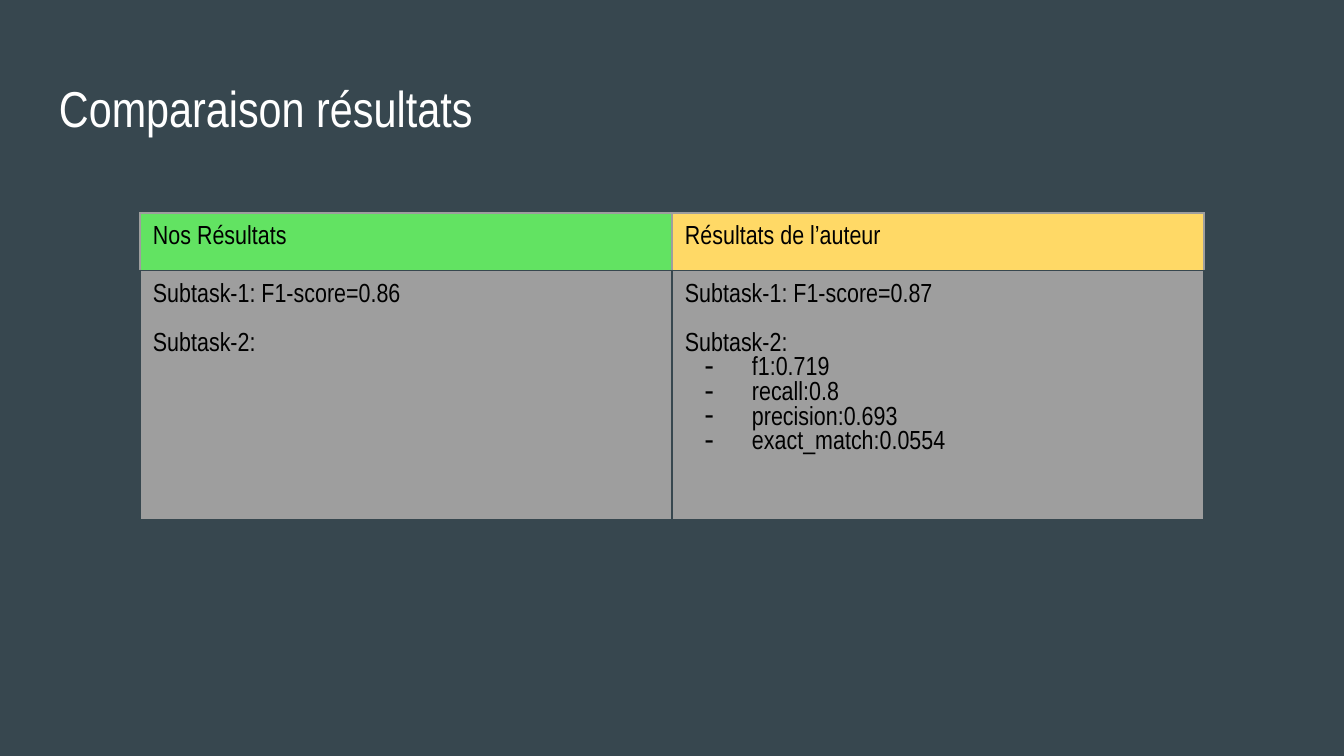
from dataclasses import dataclass

from lxml.etree import SubElement
from pptx import Presentation
from pptx.dml.color import RGBColor
from pptx.enum.text import MSO_ANCHOR
from pptx.oxml.ns import qn
from pptx.util import Emu, Pt

PX_PER_INCH = 134.4


@dataclass(frozen=True)
class Theme:
    font: str = "Arial Narrow"
    background: str = "37474F"
    title: str = "FFFFFF"
    text: str = "000000"
    ours: str = "62E362"
    author: str = "FFD966"
    body: str = "9E9E9E"
    border: str = "9E9E9E"
    title_size: int = 27
    cell_size: int = 14
    group_gap: int = 13
    border_width: float = 0.75


@dataclass(frozen=True)
class Line:
    text: str
    bullet: bool = False
    gap: bool = False


@dataclass(frozen=True)
class Column:
    heading: str
    fill: str
    lines: tuple[Line, ...]


THEME = Theme()
COLUMNS = (
    Column("Nos Résultats", THEME.ours, (
        Line("Subtask-1: F1-score=0.86"),
        Line("Subtask-2:", gap=True),
    )),
    Column("Résultats de l’auteur", THEME.author, (
        Line("Subtask-1: F1-score=0.87"),
        Line("Subtask-2:", gap=True),
        Line("f1:0.719", bullet=True),
        Line("recall:0.8", bullet=True),
        Line("precision:0.693", bullet=True),
        Line("exact_match:0.0554", bullet=True),
    )),
)


def px(n: int) -> Emu:
    return Emu(round(n * 914400 / PX_PER_INCH))


def rgb(color: str) -> RGBColor:
    return RGBColor.from_string(color)


def add_run(p, text: str, size: int, color: str) -> None:
    r = p.add_run()
    r.text = text
    r.font.name = THEME.font
    r.font.size = Pt(size)
    r.font.color.rgb = rgb(color)


def set_insets(box) -> None:
    box.margin_left = box.margin_right = px(13)
    box.margin_top = box.margin_bottom = px(13)


def add_dash(p) -> None:
    pPr = p._p.get_or_add_pPr()
    pPr.set("marL", str(px(67)))
    pPr.set("indent", str(-px(47)))
    clr = SubElement(pPr, qn("a:buClr"))
    SubElement(clr, qn("a:srgbClr"), val=THEME.text)
    SubElement(pPr, qn("a:buChar"), char="-")


def set_borders(cell, colors: dict[str, str]) -> None:
    tcPr = cell._tc.get_or_add_tcPr()
    for side, color in colors.items():
        ln = SubElement(tcPr, qn(f"a:ln{side}"), w=str(Pt(THEME.border_width)))
        fill = SubElement(ln, qn("a:solidFill"))
        SubElement(fill, qn("a:srgbClr"), val=color)


def fill_cell(cell, lines: tuple[Line, ...], color: str, borders: dict[str, str]) -> None:
    set_insets(cell)
    set_borders(cell, borders)
    cell.fill.solid()
    cell.fill.fore_color.rgb = rgb(color)
    tf = cell.text_frame
    for i, line in enumerate(lines):
        p = tf.add_paragraph() if i else tf.paragraphs[0]
        if line.gap:
            p.space_before = Pt(THEME.group_gap)
        if line.bullet:
            add_dash(p)
        add_run(p, line.text, THEME.cell_size, THEME.text)


def add_title(s, text: str) -> None:
    sp = s.shapes.add_textbox(px(46), px(66), px(1252), px(85))
    tf = sp.text_frame
    tf.word_wrap = True
    tf.vertical_anchor = MSO_ANCHOR.BOTTOM
    set_insets(tf)
    add_run(tf.paragraphs[0], text, THEME.title_size, THEME.title)


def add_results(s, columns: tuple[Column, ...]) -> None:
    heights = (56, 249)
    width = 532
    table = s.shapes.add_table(
        len(heights), len(columns), px(140), px(213), px(width * len(columns)), px(sum(heights))
    ).table
    for row, height in zip(table.rows, heights):
        row.height = px(height)
    body_borders = dict.fromkeys("LRTB", THEME.background)
    head_borders = dict.fromkeys("LRT", THEME.border) | {"B": THEME.background}
    for i, column in enumerate(columns):
        table.columns[i].width = px(width)
        fill_cell(table.cell(0, i), (Line(column.heading),), column.fill, head_borders)
        fill_cell(table.cell(1, i), column.lines, THEME.body, body_borders)


def main() -> None:
    prs = Presentation()
    prs.slide_width, prs.slide_height = px(1344), px(756)
    s = prs.slides.add_slide(prs.slide_layouts[6])
    s.background.fill.solid()
    s.background.fill.fore_color.rgb = rgb(THEME.background)
    add_title(s, "Comparaison résultats")
    add_results(s, COLUMNS)
    prs.save("out.pptx")


if __name__ == "__main__":
    main()
